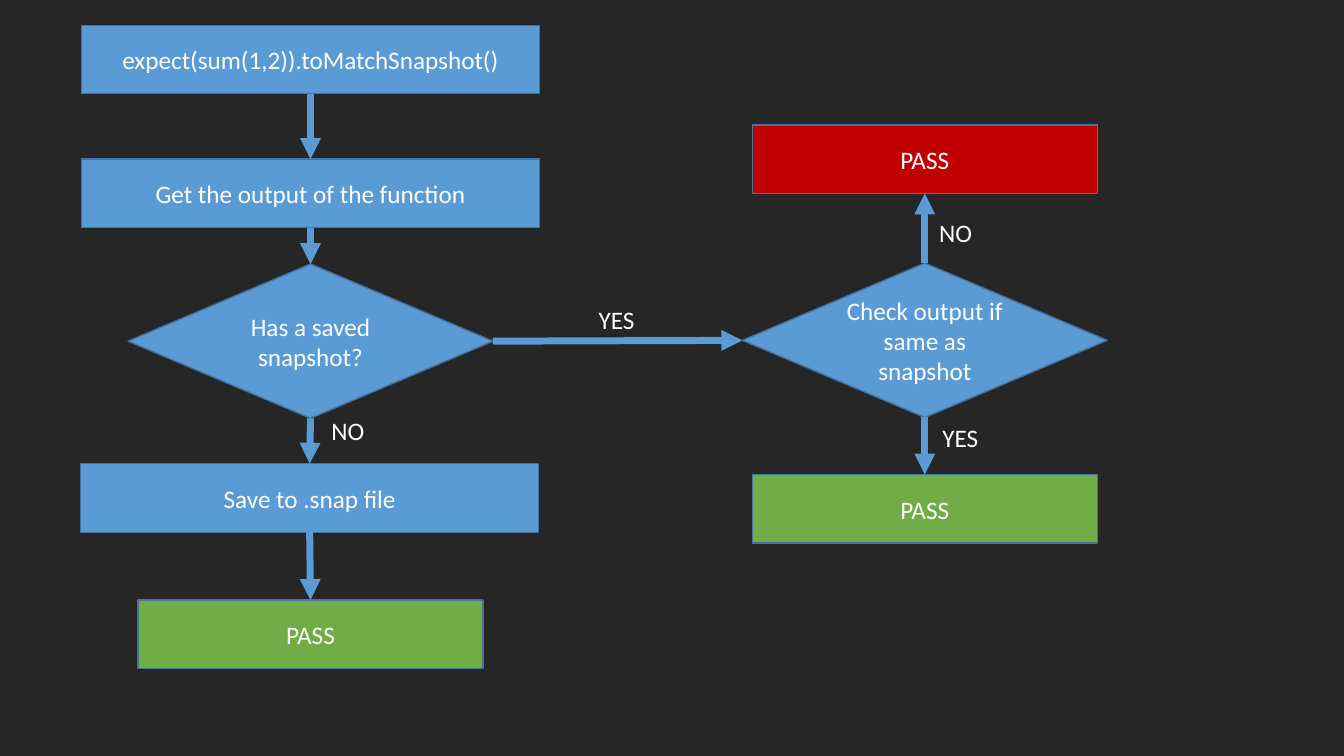
from dataclasses import dataclass

from lxml import etree
from pptx import Presentation
from pptx import util as u
from pptx.dml.color import RGBColor
from pptx.enum import shapes, text
from pptx.oxml import ns

TOP, LEFT, BOTTOM, RIGHT = range(4)


@dataclass(frozen=True)
class Theme:
    """Colours, type and line weights of the flowchart."""
    background: str = "262626"
    step: str = "5B9BD5"
    outline: str = "43739E"
    success: str = "70AD47"
    failure: str = "C00000"
    text: str = "FFFFFF"
    font: str = "Calibri"
    size: float = 18
    outline_width: float = 1
    arrow_width: float = 5


THEME = Theme()


def style_text(paragraph):
    """Apply the theme's type to a paragraph."""
    paragraph.font.name = THEME.font
    paragraph.font.size = u.Pt(THEME.size)
    paragraph.font.color.rgb = RGBColor.from_string(THEME.text)


def add_node(slide, kind, wording, center, top, width, height, color):
    """Add a filled flowchart node centred on a column."""
    node = slide.shapes.add_shape(kind, u.Pt(center - width / 2), u.Pt(top), u.Pt(width), u.Pt(height))
    node.shadow.inherit = False
    node.fill.solid()
    node.fill.fore_color.rgb = RGBColor.from_string(color)
    node.line.color.rgb = RGBColor.from_string(THEME.outline)
    node.line.width = u.Pt(THEME.outline_width)
    frame = node.text_frame
    frame.word_wrap = True
    frame.vertical_anchor = text.MSO_ANCHOR.MIDDLE
    paragraph = frame.paragraphs[0]
    paragraph.text = wording
    paragraph.alignment = text.PP_ALIGN.CENTER
    style_text(paragraph)
    return node


def add_step(slide, wording, center, top):
    """Add a wide process box."""
    return add_node(slide, shapes.MSO_SHAPE.RECTANGLE, wording, center, top, 327, 49, THEME.step)


def add_decision(slide, wording, center, top):
    """Add a decision diamond."""
    return add_node(slide, shapes.MSO_SHAPE.DIAMOND, wording, center, top, 260.6, 110.2, THEME.step)


def add_result(slide, wording, center, top, color):
    """Add a result box."""
    return add_node(slide, shapes.MSO_SHAPE.RECTANGLE, wording, center, top, 246.4, 49, color)


def add_arrow(slide, source, target, source_side=BOTTOM, target_side=TOP):
    """Join two nodes with an arrow glued to their sides."""
    arrow = slide.shapes.add_connector(shapes.MSO_CONNECTOR.STRAIGHT, 0, 0, 0, 0)
    arrow.begin_connect(source, source_side)
    arrow.end_connect(target, target_side)
    arrow.line.color.rgb = RGBColor.from_string(THEME.step)
    arrow.line.width = u.Pt(THEME.arrow_width)
    etree.SubElement(arrow.line._get_or_add_ln(), ns.qn("a:tailEnd"), type="triangle")
    etree.SubElement(arrow._element.spPr, ns.qn("a:effectLst"))


def add_label(slide, wording, left, top, width):
    """Add an unwrapped branch label."""
    label = slide.shapes.add_textbox(u.Pt(left), u.Pt(top), u.Pt(width), u.Pt(29))
    frame = label.text_frame
    frame.word_wrap = False
    frame.auto_size = text.MSO_AUTO_SIZE.SHAPE_TO_FIT_TEXT
    paragraph = frame.paragraphs[0]
    paragraph.text = wording
    style_text(paragraph)


def main():
    """Build the snapshot-testing flowchart."""
    presentation = Presentation()
    presentation.slide_width, presentation.slide_height = u.Pt(960), u.Pt(540)
    slide = presentation.slides.add_slide(presentation.slide_layouts[6])
    slide.background.fill.solid()
    slide.background.fill.fore_color.rgb = RGBColor.from_string(THEME.background)

    first_column, second_column = 221.8, 660.6
    expectation = add_step(slide, "expect(sum(1,2)).toMatchSnapshot()", first_column, 18)
    output = add_step(slide, "Get the output of the function", first_column, 113.6)
    has_snapshot = add_decision(slide, "Has a saved snapshot?", first_column, 188.6)
    save = add_step(slide, "Save to .snap file", first_column - 0.6, 331.2)
    saved = add_result(slide, "PASS", first_column, 428.6, THEME.success)
    same_output = add_decision(slide, "Check output if same as snapshot", second_column, 188)
    matched = add_result(slide, "PASS", second_column, 339, THEME.success)
    mismatched = add_result(slide, "PASS", second_column, 89.2, THEME.failure)

    main_flow = [expectation, output, has_snapshot, save, saved]
    for source, target in zip(main_flow, main_flow[1:]):
        add_arrow(slide, source, target)
    add_arrow(slide, has_snapshot, same_output, RIGHT, LEFT)
    add_arrow(slide, same_output, matched)
    add_arrow(slide, same_output, mismatched, TOP, BOTTOM)

    for wording, left, top, width in [
        ("NO", 229.7, 293, 38),
        ("YES", 420.5, 214, 40.3),
        ("YES", 666, 298, 40.3),
        ("NO", 663.8, 152, 38),
    ]:
        add_label(slide, wording, left, top, width)

    presentation.save("out.pptx")


main()
